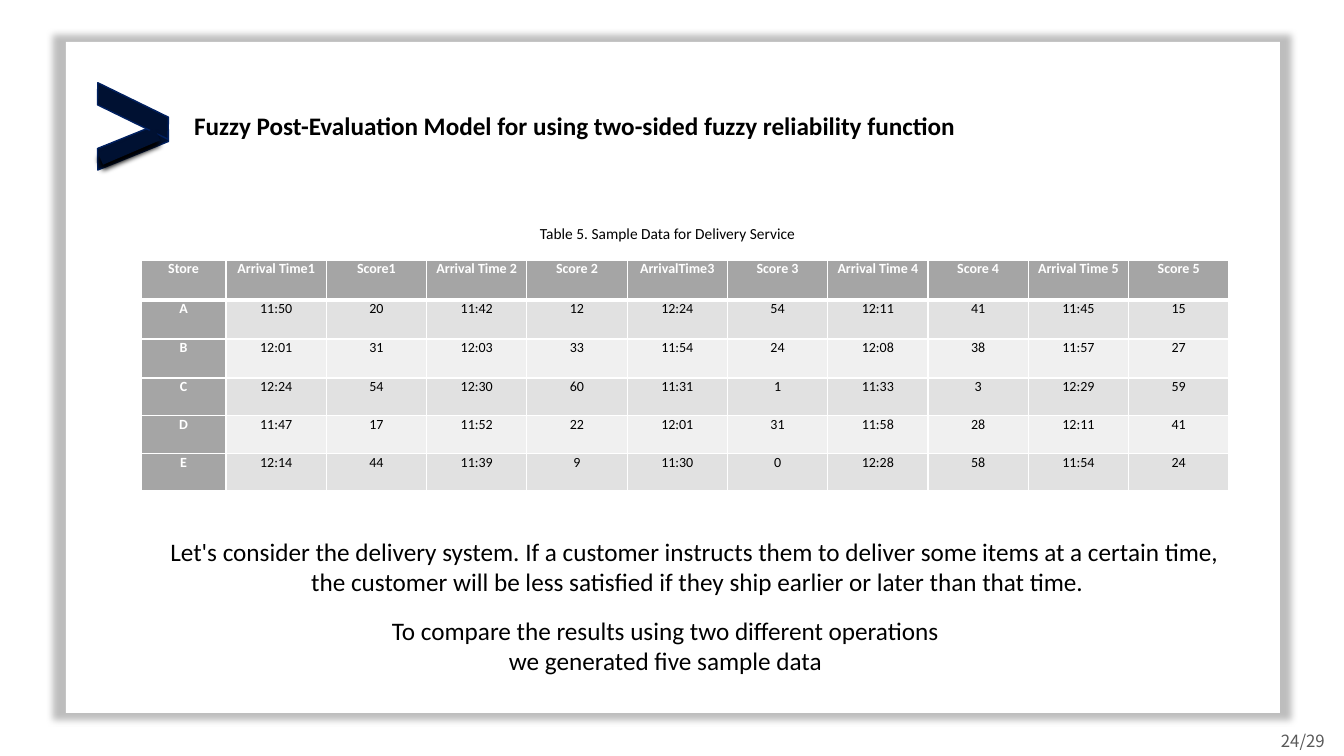
from dataclasses import dataclass

from lxml import etree
from pptx import Presentation
from pptx import util as u
from pptx.dml.color import RGBColor
from pptx.enum import shapes, text
from pptx.oxml import ns

SCALE = 914400 / 100.8


@dataclass(frozen=True)
class Theme:
    font: str = "Calibri"
    alt: str = "Noto Sans CJK KR"
    black: str = "000000"
    white: str = "FFFFFF"
    gray: str = "595959"
    navy: str = "001132"
    edge: str = "002060"
    head: str = "A5A5A5"
    bands: tuple = ("E1E1E1", "F0F0F0")
    body: int = 18
    page: int = 12
    note: int = 11
    cell: int = 10


T = Theme()
LEFT, MID = text.PP_ALIGN.LEFT, text.PP_ALIGN.CENTER
KIND = shapes.MSO_SHAPE

HEADS = ["Store", "Arrival Time1", "Score1", "Arrival Time 2", "Score 2", "ArrivalTime3",
         "Score 3", "Arrival Time 4", "Score 4", "Arrival Time 5", "Score 5"]
DATA = [
    ["A", "11:50", "20", "11:42", "12", "12:24", "54", "12:11", "41", "11:45", "15"],
    ["B", "12:01", "31", "12:03", "33", "11:54", "24", "12:08", "38", "11:57", "27"],
    ["C", "12:24", "54", "12:30", "60", "11:31", "1", "11:33", "3", "12:29", "59"],
    ["D", "11:47", "17", "11:52", "22", "12:01", "31", "11:58", "28", "12:11", "41"],
    ["E", "12:14", "44", "11:39", "9", "11:30", "0", "12:28", "58", "11:54", "24"],
]
ROWS = [40, 39, 39, 38, 38, 37]


def px(n):
    return u.Emu(round(n * SCALE))


def rgb(code):
    return RGBColor.from_string(code)


def sub(node, tag, **attrs):
    return etree.SubElement(node, ns.qn(tag), {k: str(v) for k, v in attrs.items()})


def write(par, words, size, color=T.black, bold=False, font=T.font, align=LEFT):
    par.alignment = align
    run = par.add_run()
    run.text = words
    run.font.name = font
    run.font.size = u.Pt(size)
    run.font.bold = bold
    run.font.color.rgb = rgb(color)


def shade(shape, alpha, blur, dist=0, turn=0, grow=100):
    fx = shape._element.spPr.find(ns.qn("a:effectLst"))
    glow = sub(fx, "a:outerShdw", blurRad=u.Pt(blur), dist=u.Pt(dist), dir=turn * 60000,
               sx=grow * 1000, sy=grow * 1000, algn="ctr", rotWithShape=0)
    color = sub(glow, "a:srgbClr", val=T.black)
    sub(color, "a:alpha", val=alpha * 1000)


def block(home, kind, box, fill, line=None, turn=0):
    shape = home.add_shape(kind, *map(px, box))
    shape.shadow.inherit = False
    shape.fill.solid()
    shape.fill.fore_color.rgb = rgb(fill)
    shape.rotation = turn
    if line:
        shape.line.color.rgb = rgb(line)
        shape.line.width = u.Pt(1)
    else:
        shape.line.fill.background()
    return shape


def label(slide, box, lines, size, wrap=False, **style):
    frame = slide.shapes.add_textbox(*map(px, box)).text_frame
    frame.word_wrap = wrap
    frame.auto_size = text.MSO_AUTO_SIZE.SHAPE_TO_FIT_TEXT
    for i, (words, align) in enumerate(lines):
        par = frame.add_paragraph() if i else frame.paragraphs[0]
        write(par, words, size, align=align, **style)


def title(slide, box, words):
    shape = slide.shapes.title
    shape.left, shape.top, shape.width, shape.height = map(px, box)
    frame = shape.text_frame
    frame.auto_size = text.MSO_AUTO_SIZE.NONE
    frame.vertical_anchor = text.MSO_ANCHOR.TOP
    write(frame.paragraphs[0], words, T.body, bold=True)


def arrow(slide):
    group = slide.shapes.add_group_shape().shapes
    low = block(group, KIND.PARALLELOGRAM, (91, 135, 84, 20), T.navy, T.edge, 338)
    low.adjustments[0] = 0.39
    high = block(group, KIND.PARALLELOGRAM, (89, 101, 88, 20), T.navy, T.edge, 26)
    high.adjustments[0] = 0.47
    high._element.spPr.find(ns.qn("a:xfrm")).set("flipH", "1")
    bar = block(group, KIND.RECTANGLE, (98, 140, 62, 13), T.navy, turn=336.8)
    shade(bar, 100, 4, 4, 90)


def border(cell, sides):
    props = cell._tc.get_or_add_tcPr()
    for i, (side, width) in enumerate(sides.items()):
        line = etree.Element(ns.qn("a:" + side), w=str(u.Pt(width)))
        sub(sub(line, "a:solidFill"), "a:srgbClr", val=T.white)
        props.insert(i, line)


def grid(slide):
    rows = [HEADS] + DATA
    frame = slide.shapes.add_table(len(rows), len(HEADS), px(141), px(260), px(1088), px(sum(ROWS)))
    table = frame.table
    for i, col in enumerate(table.columns):
        col.width = px(1003) // 10 if i else px(85)
    for r, row in enumerate(rows):
        table.rows[r].height = px(ROWS[r])
        for c, words in enumerate(row):
            cell = table.cell(r, c)
            main = r == 0 or c == 0
            cell.margin_left = cell.margin_right = px(7)
            cell.margin_top = cell.margin_bottom = 0
            cell.fill.solid()
            cell.fill.fore_color.rgb = rgb(T.head if main else T.bands[(r - 1) % 2])
            border(cell, {"lnL": 1, "lnR": 1, "lnT": 3 if r == 1 else 1, "lnB": 1 if r else 3})
            write(cell.text_frame.paragraphs[0], words, T.cell,
                  T.white if main else T.black, main, align=MID)


def main():
    deck = Presentation()
    deck.slide_width, deck.slide_height = px(1344), px(756)
    slide = deck.slides.add_slide(deck.slide_layouts[5])
    panel = block(slide.shapes, KIND.RECTANGLE, (66, 42, 1214, 671), T.white)
    shade(panel, 25, 5, grow=102)
    slide.shapes.title._element.addprevious(panel._element)
    title(slide, (184, 105, 1027, 40),
          "Fuzzy Post-Evaluation Model for using two-sided fuzzy reliability function")
    arrow(slide)
    grid(slide)
    label(slide, (1271, 726, 73, 30), [("24/29", LEFT)], T.page, True, color=T.gray, font=T.alt)
    label(slide, (154, 531, 1087, 72), [
        ("Let's consider the delivery system. If a customer instructs them to deliver "
         "some items at a certain time, ", MID),
        ("the customer will be less satisfied if they ship earlier or later than that time.", MID),
    ], T.body)
    label(slide, (530, 219, 282, 47), [("Table 5. Sample Data for Delivery Service", LEFT)], T.note)
    label(slide, (382, 610, 580, 72), [
        ("To compare the results using two different operations", LEFT),
        ("we generated five sample data", MID),
    ], T.body)
    deck.save("out.pptx")


if __name__ == "__main__":
    main()
